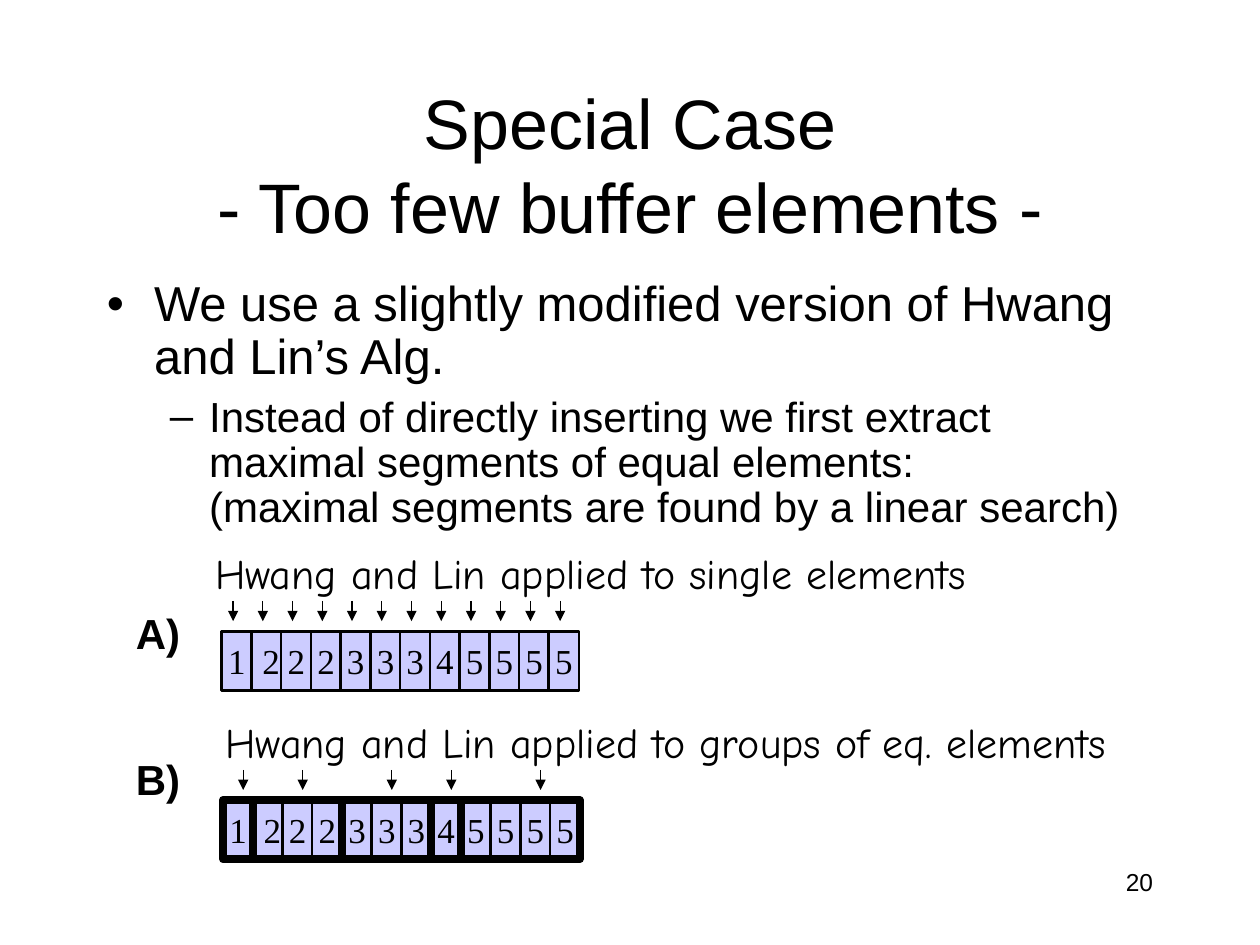
import pptx
import pptx.util
import pptx.dml.color
import pptx.enum.shapes
import pptx.enum.text
import pptx.oxml.ns
import lxml.etree

COLORS = {"ink": "000000", "cell": "CCCCFF"}
UNIT = pptx.util.Inches(0.1)
COLS, ROWS = 100, 75
PITCH, CELL_W, CELL_H, WIDE_W = 2.36, 2.4, 4.7, 3.1
ALIGN = pptx.enum.text.PP_ALIGN
ANCHOR = pptx.enum.text.MSO_ANCHOR
VALUES = (1, 2, 2, 2, 3, 3, 3, 4, 5, 5, 5, 5)


def grid(*lengths):
    """Turn columns and rows of the slide grid into EMU."""
    return [round(n * UNIT) for n in lengths]


def rgb(name):
    """Look up a named colour."""
    return pptx.dml.color.RGBColor.from_string(COLORS[name])


def sub(parent, tag, **attrs):
    """Append a DrawingML element to a parent."""
    return lxml.etree.SubElement(parent, pptx.oxml.ns.qn(tag), attrs)


def add_text(tf, text, size=24, font="Arial", bold=False, align=ALIGN.LEFT,
             before=0, spacing=None, level=0, bullet=None, margin=0, hang=0):
    """Write one formatted paragraph into a text frame."""
    p = tf.paragraphs[0] if not tf.text else tf.add_paragraph()
    p.text = text
    p.alignment, p.level = align, level
    p.space_before = pptx.util.Pt(before)
    if spacing:
        p.line_spacing = spacing
    for r in p.runs:
        r.font.size, r.font.name, r.font.bold = pptx.util.Pt(size), font, bold
        r.font.color.rgb = rgb("ink")
    if bullet:
        pPr = p._p.get_or_add_pPr()
        left, indent = grid(margin, -hang)
        pPr.set("marL", str(left))
        pPr.set("indent", str(indent))
        sub(sub(pPr, "a:buClr"), "a:srgbClr", val=COLORS["ink"])
        sub(pPr, "a:buFont", typeface="Arial")
        sub(pPr, "a:buChar", char=bullet)
    return p


def text_box(s, box, anchor=ANCHOR.TOP, grow=False):
    """Add a wrapping text box and return its text frame."""
    tf = s.shapes.add_textbox(*grid(*box)).text_frame
    tf.word_wrap = True
    tf.vertical_anchor = anchor
    if grow:
        tf.auto_size = pptx.enum.text.MSO_AUTO_SIZE.SHAPE_TO_FIT_TEXT
    return tf


def rectangle(s, box, weight, fill=None):
    """Add an outlined rectangle, hollow unless a fill is named."""
    sp = s.shapes.add_shape(pptx.enum.shapes.MSO_SHAPE.RECTANGLE, *grid(*box))
    sp.shadow.inherit = False
    if fill:
        sp.fill.solid()
        sp.fill.fore_color.rgb = rgb(fill)
    else:
        sp.fill.background()
    sp.line.color.rgb = rgb("ink")
    sp.line.width = pptx.util.Pt(weight)
    return sp


def down_arrow(s, x, y, length):
    """Add a thin arrow pointing down."""
    line = s.shapes.add_connector(
        pptx.enum.shapes.MSO_CONNECTOR.STRAIGHT, *grid(x, y, x, y + length))
    line.line.color.rgb = rgb("ink")
    line.line.width = pptx.util.Pt(0.75)
    sub(line.line._get_or_add_ln(), "a:tailEnd", type="triangle")
    sub(line._element.spPr, "a:effectLst")


def title(s, box):
    """Write the two-line heading."""
    add_text(text_box(s, box, ANCHOR.MIDDLE),
             "Special Case\v- Too few buffer elements -",
             size=40, align=ALIGN.CENTER)


def body(s, box):
    """Write the bullet and its sub-bullet."""
    tf = text_box(s, box)
    add_text(tf, "We use a slightly modified version of Hwang and Lin’s Alg.",
             size=28, before=7, spacing=0.9, bullet="•", margin=3.75, hang=3.75)
    add_text(tf, "Instead of directly inserting we first extract maximal "
             "segments of equal elements:\v"
             "(maximal segments are found by a linear search)",
             before=6, spacing=0.9, level=1, bullet="–", margin=8.12, hang=3.12)


def array_row(s, box, caption, groups, inset, outlined=False):
    """Draw the array cells, one arrow per group and the caption above."""
    x, y, w, h = box
    left, top = x + inset, y + h - CELL_H
    for i, value in enumerate(VALUES):
        width = WIDE_W if i == 1 else CELL_W
        sp = rectangle(s, (left + i * PITCH, top, width, CELL_H), 1.5, "cell")
        tf = sp.text_frame
        tf.word_wrap = False
        tf.vertical_anchor = ANCHOR.MIDDLE
        add_text(tf, str(value), size=20, font="Times New Roman",
                 align=ALIGN.CENTER)
    start = 0
    for count in groups:
        if outlined:
            rectangle(s, (left + start * PITCH, top, count * PITCH, CELL_H), 4.5)
        down_arrow(s, x + 2.4 + (start + count // 2) * PITCH, top - 2.4, 1.6)
        start += count
    add_text(text_box(s, (x, y, w, 5), grow=True), caption,
             font="Comic Neue", before=15)


def row_label(s, box, text):
    """Write the bold letter beside an array."""
    add_text(text_box(s, box, grow=True), text, bold=True, before=15)


def page_number(s, box):
    """Write the slide number."""
    add_text(text_box(s, box), "20", size=14, align=ALIGN.RIGHT)


def main():
    """Build the slide and save it."""
    prs = pptx.Presentation()
    prs.slide_width, prs.slide_height = grid(COLS, ROWS)
    s = prs.slides.add_slide(prs.slide_layouts[6])
    title(s, (7.5, 6.7, 85, 12.5))
    body(s, (7.5, 21.7, 85, 22.9))
    array_row(s, (16.1, 43, 75.6, 11.8),
              "Hwang and Lin applied to single elements",
              [1] * len(VALUES), inset=1.5)
    array_row(s, (16.9, 56.4, 78, 11.8),
              "Hwang and Lin applied to groups of eq. elements",
              [1, 3, 3, 1, 4], inset=0.8, outlined=True)
    row_label(s, (9.8, 47.7, 7.9, 5), "A)")
    row_label(s, (9.8, 59.3, 7.9, 5), "B)")
    page_number(s, (71.7, 68.3, 20.8, 5))
    prs.save("out.pptx")


if __name__ == "__main__":
    main()
